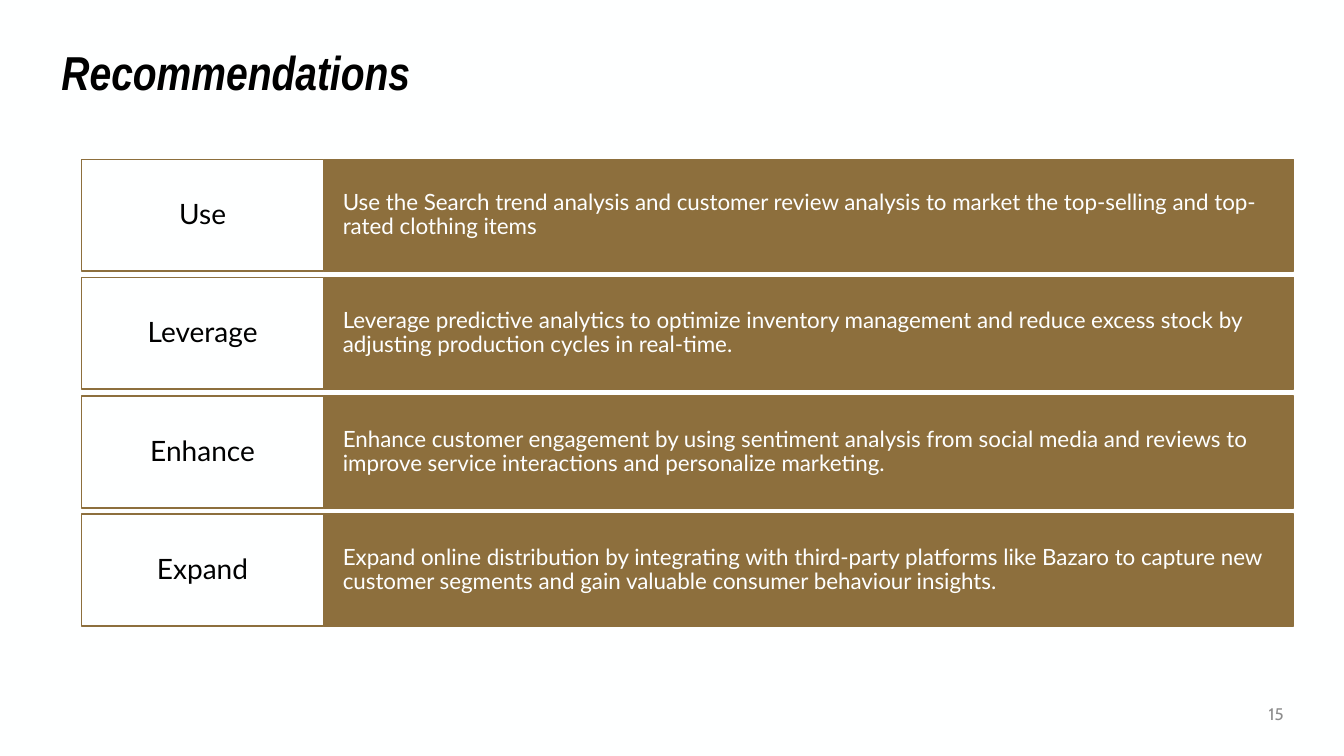
from dataclasses import dataclass

from pptx import Presentation
from pptx.dml.color import RGBColor
from pptx.enum.shapes import MSO_SHAPE as Preset
from pptx.enum.text import MSO_ANCHOR as Anchor, MSO_AUTO_SIZE as AutoSize, PP_ALIGN as Align
from pptx.util import Emu, Pt

EMU_PER_PX = 9144  # 100 px to the inch
BROWN, PAPER, BLACK, GREY = "8D6F3D", "FEFFFF", "000000", "8C8C8C"


@dataclass(frozen=True)
class Box:
    left: int
    top: int
    width: int
    height: int


@dataclass(frozen=True)
class TextStyle:
    font: str
    size: int
    color: str
    align: Align = Align.LEFT
    spacing: float = 0.9
    bold: bool = False
    italic: bool = False
    inset_x: int = 10
    inset_y: int = 5


@dataclass(frozen=True)
class Recommendation:
    label: str
    advice: str


TITLE = TextStyle("Arial Narrow", 34, BLACK, bold=True, italic=True)
LABEL = TextStyle("Lato", 20, BLACK, Align.CENTER, inset_x=13, inset_y=11)
ADVICE = TextStyle("Lato", 16, PAPER, inset_x=19, inset_y=28)
PAGE_NUMBER = TextStyle("Cabin", 12, GREY, Align.RIGHT, spacing=1.0)

RECOMMENDATIONS = [
    Recommendation("Use", "Use the Search trend analysis and customer review analysis to market "
                   "the top-selling and top-rated clothing items"),
    Recommendation("Leverage", "Leverage predictive analytics to optimize inventory management and "
                   "reduce excess stock by adjusting production cycles in real-time."),
    Recommendation("Enhance", "Enhance customer engagement by using sentiment analysis from social "
                   "media and reviews to improve service interactions and personalize marketing."),
    Recommendation("Expand", "Expand online distribution by integrating with third-party platforms "
                   "like Bazaro to capture new customer segments and gain valuable consumer "
                   "behaviour insights."),
]


def px(length: int) -> Emu:
    return Emu(length * EMU_PER_PX)


def color(value: str) -> RGBColor:
    return RGBColor.from_string(value)


def place(box: Box) -> tuple[Emu, Emu, Emu, Emu]:
    return px(box.left), px(box.top), px(box.width), px(box.height)


def write(shape, text: str, style: TextStyle) -> None:
    frame = shape.text_frame
    frame.word_wrap = True
    frame.auto_size = AutoSize.NONE
    frame.vertical_anchor = Anchor.MIDDLE
    frame.margin_left = frame.margin_right = px(style.inset_x)
    frame.margin_top = frame.margin_bottom = px(style.inset_y)
    paragraph = frame.paragraphs[0]
    paragraph.alignment = style.align
    paragraph.line_spacing = style.spacing
    run = paragraph.add_run()
    run.text = text
    run.font.name = style.font
    run.font.size = Pt(style.size)
    run.font.bold = style.bold
    run.font.italic = style.italic
    run.font.color.rgb = color(style.color)


def add_panel(slide, box: Box, fill: str, text: str, style: TextStyle) -> None:
    shape = slide.shapes.add_shape(Preset.RECTANGLE, *place(box))
    shape.shadow.inherit = False
    shape.fill.solid()
    shape.fill.fore_color.rgb = color(fill)
    shape.line.color.rgb = color(BROWN)
    shape.line.width = Pt(1)
    write(shape, text, style)


def main() -> None:
    presentation = Presentation()
    presentation.slide_width, presentation.slide_height = px(1333), px(750)
    slide = presentation.slides.add_slide(presentation.slide_layouts[5])
    slide.background.fill.solid()
    slide.background.fill.fore_color.rgb = color(PAPER)

    # Title
    title = slide.shapes.title
    title.left, title.top, title.width, title.height = place(Box(51, 42, 1232, 64))
    write(title, "Recommendations", TITLE)

    # Recommendation rows, 117.5 px apart
    for index, item in enumerate(RECOMMENDATIONS):
        top = 158 + index * 235 // 2
        add_panel(slide, Box(321, top, 962, 111), BROWN, item.advice, ADVICE)
        add_panel(slide, Box(81, top, 240, 111), PAPER, item.label, LABEL)

    # Page number
    page_number = slide.shapes.add_textbox(*place(Box(1163, 688, 120, 40)))
    write(page_number, "15", PAGE_NUMBER)

    presentation.save("out.pptx")


if __name__ == "__main__":
    main()
